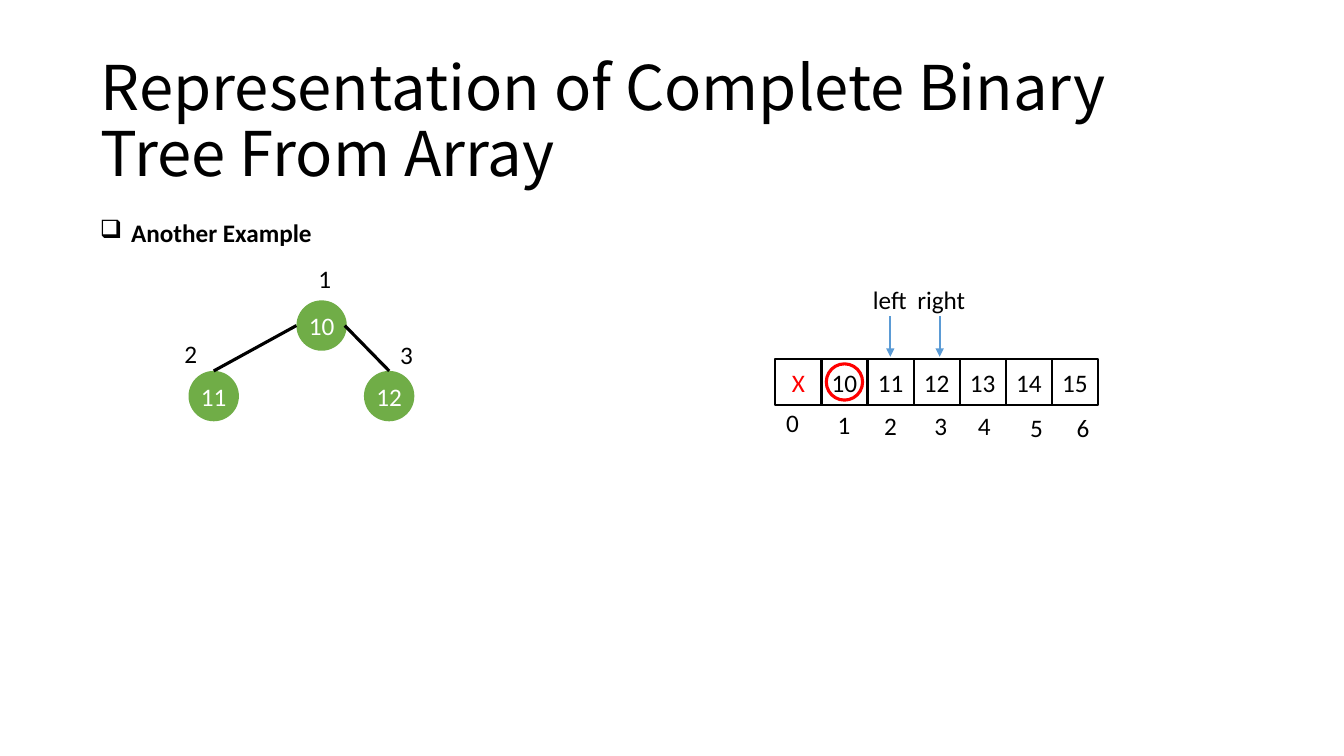
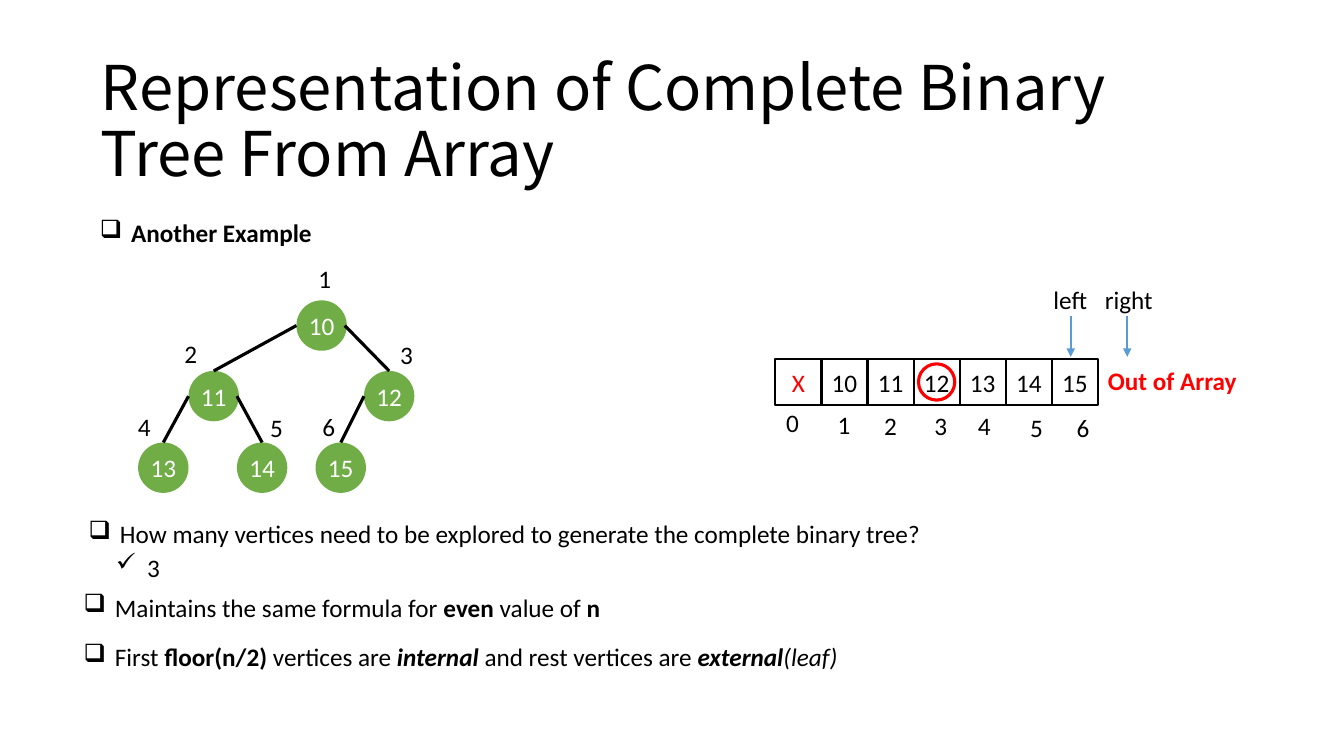
from lxml import etree
from pptx import Presentation
from pptx import util as u
from pptx.dml import color
from pptx.enum import shapes, text
from pptx.oxml import ns

BLACK, WHITE, RED = "000000", "FFFFFF", "FF0000"
NODE_GREEN, POINTER_BLUE = "70AD47", "5B9BD5"
TITLE = "Representation of Complete Binary Tree From Array"
TITLE_FONT = {"name": "Noto Sans CJK SC", "size": u.Pt(44)}
BODY_FONT = {"name": "Calibri", "size": u.Pt(18)}
BOLD, ITALIC = {"bold": True}, {"italic": True}
BOLD_ITALIC = {**BOLD, **ITALIC}
LABEL_FRAME = {"word_wrap": False, "auto_size": text.MSO_AUTO_SIZE.SHAPE_TO_FIT_TEXT}
CENTRED_FRAME = {"word_wrap": False, "vertical_anchor": text.MSO_ANCHOR.MIDDLE,
                 "margin_left": 0, "margin_right": 0, "margin_top": 0, "margin_bottom": 0}
TITLE_FRAME = {"word_wrap": True, "auto_size": text.MSO_AUTO_SIZE.NONE,
               "vertical_anchor": text.MSO_ANCHOR.MIDDLE}
LIST_FRAME = {**TITLE_FRAME, "vertical_anchor": text.MSO_ANCHOR.TOP}

BULLET_FONT = {"typeface": "Wingdings", "pitchFamily": "2", "charset": "2"}
BOX_BULLET, TICK_BULLET = "q", "ü"
HANGING = 0.31
TREE_AT = (1.37, 2.98)
ARRAY_AT = (7.69, 3.56)
NODE_SIZE = 0.5
NODE_PLACES = [(1.57, 0), (0.5, 0.7), (2.24, 0.7), (0, 1.41), (0.98, 1.41), (1.76, 1.41)]
NUMBER_OFFSETS = [(0.12, -0.42), (-0.14, -0.37), (0.26, -0.36),
                  (-0.1, -0.36), (0.23, -0.35), (-0.03, -0.36)]
VALUES = ["X", "10", "11", "12", "13", "14", "15"]
ARRAY_WIDTH, CELL_HEIGHT, RING_SIZE = 3.2, 0.46, 0.36
CELL_WIDTH = ARRAY_WIDTH / len(VALUES)
INDEX_PLACES = [(0.01, 0.43), (0.52, 0.45), (0.98, 0.46), (1.48, 0.46),
                (1.91, 0.46), (2.43, 0.48), (2.89, 0.48)]
POINTER_LABELS = [("left", -0.27, 0.54), ("right", -0.32, 0.7)]

HEADING = [(BOX_BULLET, 0, 0, [("Another Example", BOLD)])]
FINDINGS = [
    (BOX_BULLET, 0.05, 0, [
        ("How many vertices need to be explored to generate the complete binary tree?", {})]),
    (TICK_BULLET, 0.32, 2.5, [("3", {})]),
    (BOX_BULLET, 0, 7, [("Maintains the same formula for ", {}), ("even", BOLD),
                        (" value of ", {}), ("n", BOLD)]),
    (BOX_BULLET, 0, 13.5, [("First ", {}), ("floor(n/2) ", BOLD), ("vertices are ", {}),
                           ("internal ", BOLD_ITALIC), ("and rest vertices are ", {}),
                           ("external", BOLD_ITALIC), ("(leaf)", ITALIC)]),
]


def rgb(hex_value):
    return color.RGBColor.from_string(hex_value)


def apply(target, values):
    for name, value in values.items():
        setattr(target, name, value)


def place(part, left, top, width, height):
    apply(part, {"left": u.Inches(left), "top": u.Inches(top),
                 "width": u.Inches(width), "height": u.Inches(height)})


def add_run(paragraph, wording, hex_value=BLACK, **font_values):
    run = paragraph.add_run()
    run.text = wording
    apply(run.font, {**BODY_FONT, **font_values})
    run.font.color.rgb = rgb(hex_value)


def add_label(slide, left, top, width, wording, hex_value=BLACK, **font_values):
    label = slide.shapes.add_textbox(*map(u.Inches, (left, top, width, 0.4)))
    apply(label.text_frame, LABEL_FRAME)
    add_run(label.text_frame.paragraphs[0], wording, hex_value, **font_values)


def add_figure(slide, kind, box, fill=None, outline=None, weight=1.5, wording="", ink=BLACK):
    figure = slide.shapes.add_shape(kind, *map(u.Inches, box))
    figure.shadow.inherit = False
    if fill:
        figure.fill.solid()
        figure.fill.fore_color.rgb = rgb(fill)
    else:
        figure.fill.background()
    if outline:
        figure.line.color.rgb = rgb(outline)
        figure.line.width = u.Pt(weight)
    else:
        figure.line.fill.background()
    if wording:
        apply(figure.text_frame, CENTRED_FRAME)
        paragraph = figure.text_frame.paragraphs[0]
        paragraph.alignment = text.PP_ALIGN.CENTER
        add_run(paragraph, wording, ink)


def add_line(slide, start, end, hex_value, weight, arrow=False):
    line = slide.shapes.add_connector(
        shapes.MSO_CONNECTOR.STRAIGHT, *map(u.Inches, (*start, *end)))
    line.line.color.rgb = rgb(hex_value)
    line.line.width = u.Pt(weight)
    properties = line._element.spPr
    if arrow:
        outline = properties.find(ns.qn("a:ln"))
        etree.SubElement(outline, ns.qn("a:tailEnd"), type="triangle")
    etree.SubElement(properties, ns.qn("a:effectLst"))


def fill_title(slide):
    title = slide.shapes.title
    place(title, 0.9, 0.5, 11.5, 1.45)
    apply(title.text_frame, TITLE_FRAME)
    paragraph = title.text_frame.paragraphs[0]
    apply(paragraph, {"alignment": text.PP_ALIGN.LEFT, "line_spacing": 0.9})
    add_run(paragraph, TITLE, **TITLE_FONT)


def fill_list(body, box, items):
    place(body, *box)
    frame = body.text_frame
    apply(frame, LIST_FRAME)
    for number, (bullet, indent, gap, runs) in enumerate(items):
        paragraph = frame.add_paragraph() if number else frame.paragraphs[0]
        apply(paragraph, {"space_before": u.Pt(gap), "alignment": text.PP_ALIGN.LEFT})
        properties = paragraph._p.get_or_add_pPr()
        properties.set("marL", str(u.Inches(indent + HANGING)))
        properties.set("indent", str(u.Inches(-HANGING)))
        etree.SubElement(properties, ns.qn("a:buFont"), BULLET_FONT)
        etree.SubElement(properties, ns.qn("a:buChar"), char=bullet)
        for wording, style in runs:
            add_run(paragraph, wording, **style)


def draw_tree(slide, left, top, node_count):
    corners = [(left + x, top + y) for x, y in NODE_PLACES[:node_count]]
    for number, (x, y) in enumerate(corners, 1):
        add_figure(slide, shapes.MSO_SHAPE.OVAL, (x, y, NODE_SIZE, NODE_SIZE),
                   fill=NODE_GREEN, wording=VALUES[number], ink=WHITE)
        dx, dy = NUMBER_OFFSETS[number - 1]
        add_label(slide, x + dx, y + dy, 0.33, str(number))
    for number in range(2, node_count + 1):
        x, y = corners[number - 1]
        parent_x, parent_y = corners[number // 2 - 1]
        side = 0.48 if number % 2 else 0
        add_line(slide, (parent_x + side, parent_y + NODE_SIZE / 2),
                 (x + NODE_SIZE / 2, y), BLACK, 2.25)


def draw_array(slide, left, top, current, pointer_places):
    for index, value in enumerate(VALUES):
        add_figure(slide, shapes.MSO_SHAPE.RECTANGLE,
                   (left + index * CELL_WIDTH, top, CELL_WIDTH, CELL_HEIGHT),
                   outline=BLACK, wording=value, ink=BLACK if index else RED)
        x, y = INDEX_PLACES[index]
        add_label(slide, left + x, top + y, 0.33, str(index))
    add_figure(slide, shapes.MSO_SHAPE.OVAL,
               (left + (current + 0.5) * CELL_WIDTH - RING_SIZE / 2,
                top + (CELL_HEIGHT - RING_SIZE) / 2, RING_SIZE, RING_SIZE),
               outline=RED, weight=2.25)
    for (wording, dx, width), x in zip(POINTER_LABELS, pointer_places):
        add_label(slide, left + x + dx, top - 0.79, width, wording)
        add_line(slide, (left + x, top - 0.42), (left + x, top - 0.02),
                 POINTER_BLUE, 1.5, arrow=True)


def build_step(deck, layout, node_count, current, pointer_places):
    slide = deck.slides.add_slide(deck.slide_layouts[layout])
    fill_title(slide)
    fill_list(slide.placeholders[1], (0.89, 2.11, 2.47, 0.4), HEADING)
    draw_tree(slide, *TREE_AT, node_count)
    draw_array(slide, *ARRAY_AT, current, pointer_places)
    return slide


def main():
    deck = Presentation()
    apply(deck, {"slide_width": u.Inches(13.33), "slide_height": u.Inches(7.5)})
    build_step(deck, 1, 3, 1, (1.14, 1.63))
    last_step = build_step(deck, 3, 6, 3, (2.93, 3.49))
    add_label(last_step, ARRAY_AT[0] + 3.2, ARRAY_AT[1] + 0.02, 1.65, "Out of Array", RED, **BOLD)
    fill_list(last_step.placeholders[2], (0.73, 5.09, 8.75, 1.63), FINDINGS)
    deck.save("out.pptx")


if __name__ == "__main__":
    main()
